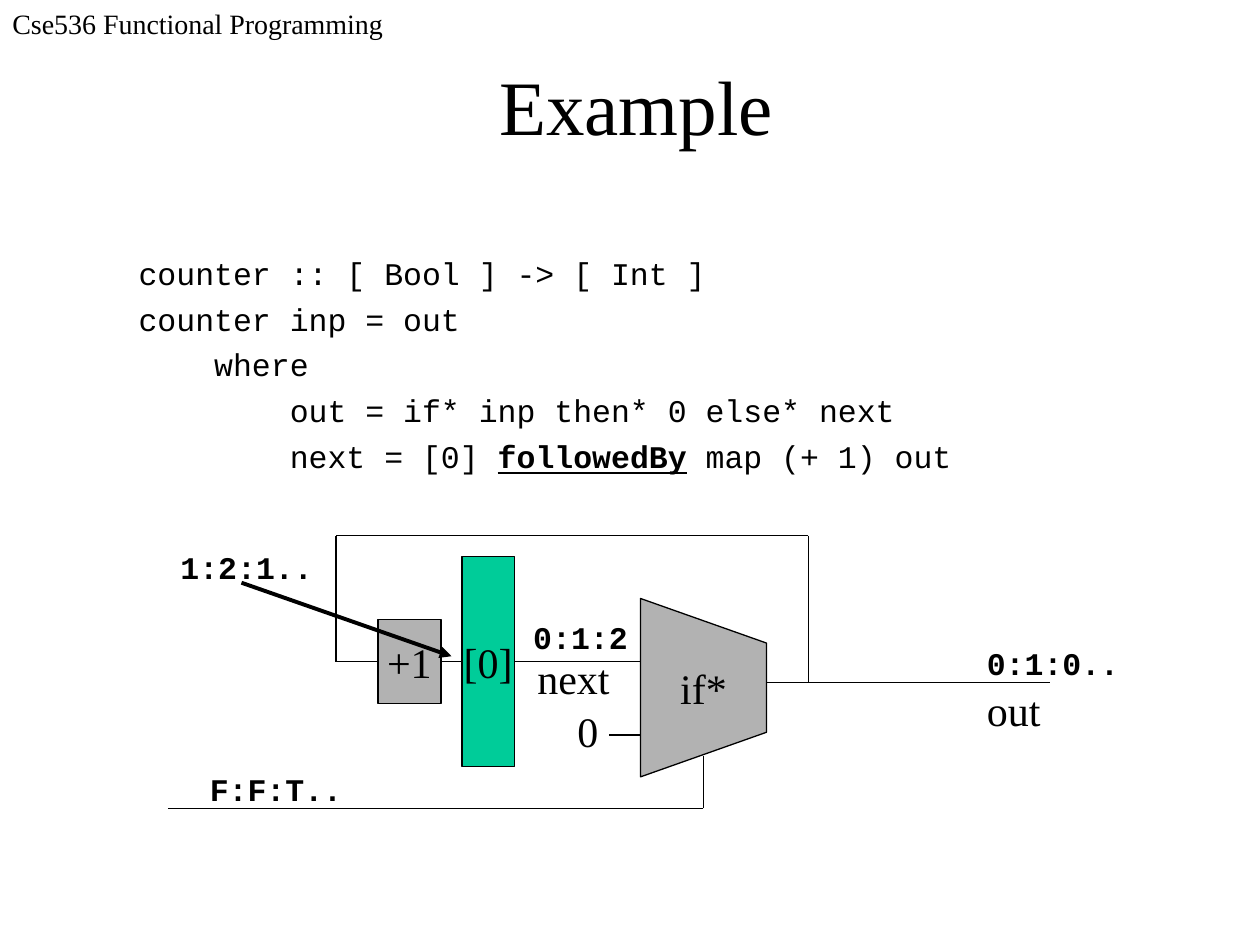
from lxml import etree
from pptx import Presentation
from pptx.dml.color import RGBColor
from pptx.enum.shapes import MSO_CONNECTOR, MSO_SHAPE
from pptx.enum.text import MSO_ANCHOR, MSO_AUTO_SIZE, PP_ALIGN
from pptx.oxml.ns import qn
from pptx.util import Inches, Pt

STRAIGHT = MSO_CONNECTOR.STRAIGHT
RECTANGLE = MSO_SHAPE.RECTANGLE
MIDDLE, BOTTOM = MSO_ANCHOR.MIDDLE, MSO_ANCHOR.BOTTOM
CENTER = PP_ALIGN.CENTER
FIT_TEXT = MSO_AUTO_SIZE.SHAPE_TO_FIT_TEXT
LEFT_SIDE, RIGHT_SIDE = 1, 3

COLUMNS, ROWS = 120, 90
CELL = Inches(10) // COLUMNS
SERIF, MONO = "Times New Roman", "Courier New"
BLACK, GRAY, GREEN = "000000", "B2B2B2", "00CC99"

CODE = [
    "counter :: [ Bool ] -> [ Int ]",
    "counter inp = out",
    "    where",
    "        out = if* inp then* 0 else* next",
    "        next = [0] followedBy map (+ 1) out",
]
KEYWORD = "followedBy"
STREAMS = [
    ("F:F:T..", 18.8, 72.75, 15),
    ("0:1:0..", 92.8, 60.75, 15),
    ("0:1:2", 49.6, 58.25, 11.4),
    ("1:2:1..", 16, 51.6, 15),
]
SIGNALS = [
    ("0", 53.8, 66.6, 4.3),
    ("out", 92.8, 64.6, 7.8),
    ("next", 50, 61.6, 9.6),
]
WIRES = [
    ((61, 70), (58, 70)),
    ((73, 65), (100, 65)),
    ((77, 65), (77, 51)),
    ((77, 51), (32, 51)),
    ((32, 51), (32, 63)),
    ((16, 77), (67, 77)),
    ((67, 77), (67, 72)),
]
MULTIPLEXER = [(61, 74), (73, 69.75), (73, 61.25), (61, 57)]


def grid(*cells):
    """Convert counts of grid cells to slide lengths."""
    return [round(cell * CELL) for cell in cells]


def color(hex_code):
    """Turn a hex string into a colour."""
    return RGBColor.from_string(hex_code)


def style_run(run, size, face, bold=False, underline=False):
    """Format one run in black."""
    run.font.size, run.font.name = Pt(size), face
    run.font.bold, run.font.underline = bold, underline
    run.font.color.rgb = color(BLACK)


def add_label(slide, text, area, size, face=SERIF, bold=False):
    """Add a one-line text box that fits its text."""
    label = slide.shapes.add_textbox(*grid(*area))
    frame = label.text_frame
    frame.word_wrap = False
    frame.auto_size = FIT_TEXT
    frame.text = text
    style_run(frame.paragraphs[0].runs[0], size, face, bold)


def add_title(slide, text):
    """Add the centred slide title."""
    frame = slide.shapes.add_textbox(*grid(5.3, 3, 110.6, 12)).text_frame
    frame.word_wrap = True
    frame.vertical_anchor = BOTTOM
    frame.text = text
    frame.paragraphs[0].alignment = CENTER
    style_run(frame.paragraphs[0].runs[0], 44, SERIF)


def add_code(slide):
    """Add the program listing with its keyword emphasised."""
    frame = slide.shapes.add_textbox(*grid(6, 18, 107.3, 61.6)).text_frame
    frame.word_wrap = True
    frame.margin_left, frame.margin_top = grid(7.2, 6.2)
    for number, line in enumerate(CODE):
        paragraph = frame.add_paragraph() if number else frame.paragraphs[0]
        if number:
            paragraph.space_before = Pt(4.5)
        for part in filter(None, line.partition(KEYWORD)):
            run = paragraph.add_run()
            run.text = part
            style_run(run, 18, MONO, part == KEYWORD, part == KEYWORD)


def finish_block(block, text, fill):
    """Fill, outline and caption a circuit block."""
    block.shadow.inherit = False
    block.fill.solid()
    block.fill.fore_color.rgb = color(fill)
    block.line.color.rgb = color(BLACK)
    block.line.width = Pt(0.75)
    frame = block.text_frame
    frame.word_wrap = False
    frame.vertical_anchor = MIDDLE
    frame.text = text
    frame.paragraphs[0].alignment = CENTER
    style_run(frame.paragraphs[0].runs[0], 24, SERIF)
    return block


def add_block(slide, text, area, fill):
    """Add a rectangular circuit block."""
    block = slide.shapes.add_shape(RECTANGLE, *grid(*area))
    return finish_block(block, text, fill)


def add_multiplexer(slide, text):
    """Add the trapezoid that selects between its inputs."""
    start, *corners = [grid(*corner) for corner in MULTIPLEXER]
    builder = slide.shapes.build_freeform(*start)
    builder.add_line_segments(corners, close=True)
    finish_block(builder.convert_to_shape(), text, GRAY)


def add_wire(slide, start, end, width=0.75):
    """Add a straight black wire between two grid points."""
    wire = slide.shapes.add_connector(STRAIGHT, *grid(*start, *end))
    wire.line.color.rgb = color(BLACK)
    wire.line.width = Pt(width)
    etree.SubElement(wire._element.spPr, qn("a:effectLst"))
    return wire


def add_pointer(slide, start, end):
    """Add a thick wire with an arrowhead at its end."""
    pointer = add_wire(slide, start, end, 2.25)
    etree.SubElement(pointer.line._get_or_add_ln(), qn("a:tailEnd"), type="triangle")


def add_circuit(slide):
    """Draw the counter circuit with its blocks, wires and labels."""
    for start, end in WIRES:
        add_wire(slide, start, end)
    add_multiplexer(slide, "if*")
    increment = add_block(slide, "+1", (36, 59, 6, 8), GRAY)
    register = add_block(slide, "[0]", (44, 53, 5, 20), GREEN)

    feedback = add_wire(slide, (32, 63), (36, 63))
    feedback.end_connect(increment, LEFT_SIDE)
    delay_input = add_wire(slide, (42, 63), (44, 63))
    delay_input.begin_connect(increment, RIGHT_SIDE)
    delay_input.end_connect(register, LEFT_SIDE)
    delay_output = add_wire(slide, (49, 63), (61, 63))
    delay_output.begin_connect(register, RIGHT_SIDE)

    for text, left, top, width in STREAMS:
        add_label(slide, text, (left, top, width, 4.8), 18, MONO, True)
    add_pointer(slide, (23, 55.5), (43, 62.5))
    for text, left, top, width in SIGNALS:
        add_label(slide, text, (left, top, width, 6), 24)


def main():
    """Build the slide and save it."""
    deck = Presentation()
    deck.slide_width, deck.slide_height = grid(COLUMNS, ROWS)
    slide = deck.slides.add_slide(deck.slide_layouts[6])
    add_label(slide, "Cse536 Functional Programming", (0, 0, 41, 4.4), 16)
    add_title(slide, "Example")
    add_code(slide)
    add_circuit(slide)
    deck.save("out.pptx")


if __name__ == "__main__":
    main()
